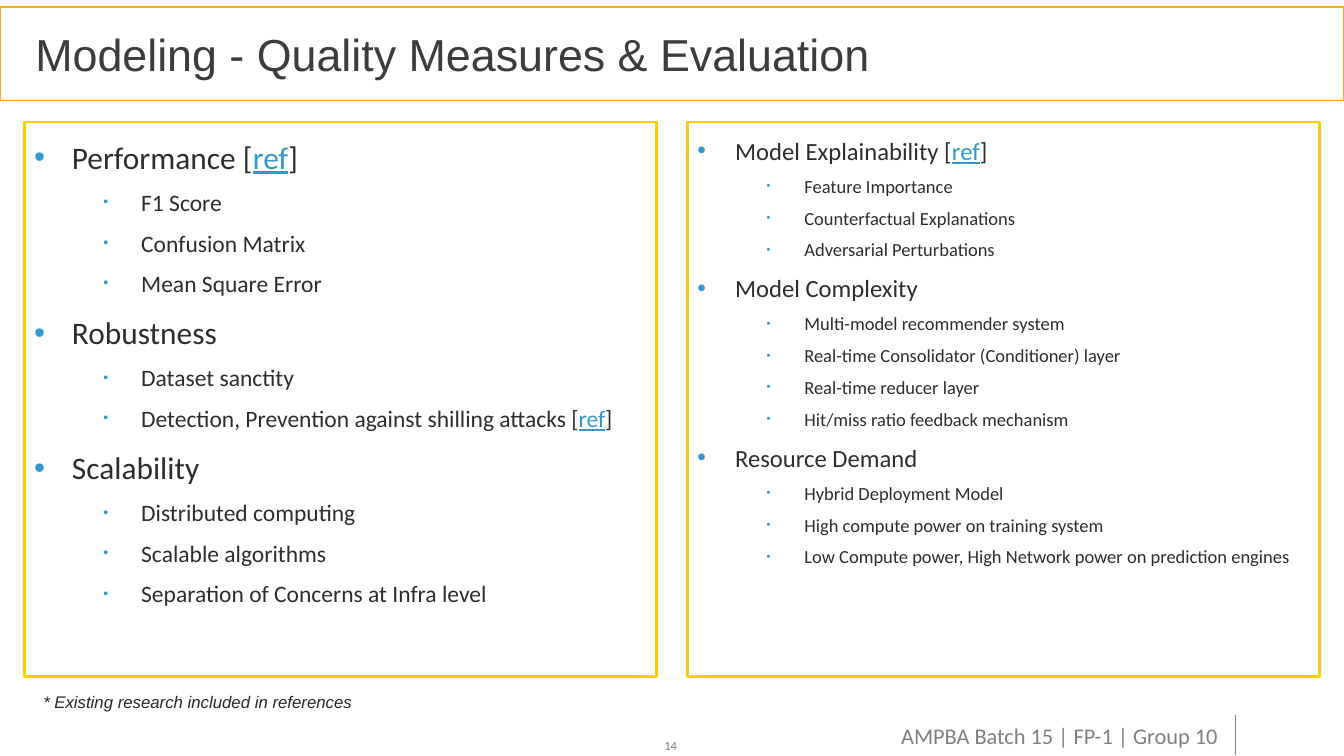
from lxml.etree import SubElement
from pptx import Presentation
from pptx.dml.color import RGBColor
from pptx.enum.shapes import MSO_CONNECTOR, MSO_SHAPE
from pptx.enum.text import MSO_ANCHOR, PP_ALIGN
from pptx.oxml.ns import qn
from pptx.util import Pt

# Content: "[ref]" in a line becomes an underlined reference
TITLE = "Modeling - Quality Measures & Evaluation"
FOOTNOTE = "* Existing research included in references"
FOOTER = "AMPBA Batch 15 | FP-1 | Group 10"
PAGE = "14"
PERFORMANCE = [
    ("Performance [ref]", ["F1 Score", "Confusion Matrix", "Mean Square Error"]),
    ("Robustness", ["Dataset sanctity",
                    "Detection, Prevention against shilling attacks [ref]"]),
    ("Scalability", ["Distributed computing", "Scalable algorithms",
                     "Separation of Concerns at Infra level"]),
]
EXPLAINABILITY = [
    ("Model Explainability [ref]", ["Feature Importance", "Counterfactual Explanations",
                                    "Adversarial Perturbations"]),
    ("Model Complexity", ["Multi-model recommender system",
                          "Real-time Consolidator (Conditioner) layer",
                          "Real-time reducer layer",
                          "Hit/miss ratio feedback mechanism"]),
    ("Resource Demand", ["Hybrid Deployment Model",
                         "High compute power on training system",
                         "Low Compute power, High Network power on prediction engines"]),
]
# Measures, heading size, point size
PANELS = [(PERFORMANCE, 22.4, 16.8), (EXPLAINABILITY, 17.6, 13.2)]

# Format
WIDTH, HEIGHT = 960, 540
PANEL_LEFT, PANEL_TOP, PANEL_WIDTH, PANEL_HEIGHT = 17.3, 87.1, 451.5, 396
PANEL_STEP = 473.7
HANGING = 27
INDENTS = [27, 76.5]
SPACE_BEFORE = 0.16
BLUE, INK, GREY = "3399CC", "2D2D2D", "808080"


def color(value):
    return RGBColor.from_string(value)


def format_font(font, ink, **values):
    font.color.rgb = color(ink)
    for key, value in values.items():
        setattr(font, key, value)


def frame(box, outline, weight):
    box.fill.solid()
    box.fill.fore_color.rgb = color("FFFFFF")
    box.line.color.rgb = color(outline)
    box.line.width = Pt(weight)


def add_bullet(paragraph, level):
    properties = paragraph._p.get_or_add_pPr()
    properties.set("marL", str(Pt(INDENTS[level])))
    properties.set("indent", str(-Pt(HANGING)))
    SubElement(SubElement(properties, qn("a:buClr")), qn("a:srgbClr"), val=BLUE)
    if level:
        SubElement(properties, qn("a:buSzPct"), val="60000")
    SubElement(properties, qn("a:buFont"), typeface="Arial")
    SubElement(properties, qn("a:buChar"), char="•")


def add_measure(paragraph, text, level, size):
    add_bullet(paragraph, level)
    paragraph.level = level
    paragraph.alignment = PP_ALIGN.LEFT
    paragraph.line_spacing = 1.3
    before, mark, after = text.partition("ref]")
    pieces = [(before, False)]
    if mark:
        pieces += [("ref", True), ("]" + after, False)]
    for piece, is_ref in pieces:
        run = paragraph.add_run()
        run.text = piece
        format_font(run.font, BLUE if is_ref else INK, name="Calibri",
                    size=Pt(size), underline=is_ref)


def add_panel(slide, left, measures, heading_size, point_size):
    panel = slide.shapes.add_shape(MSO_SHAPE.RECTANGLE, Pt(left), Pt(PANEL_TOP),
                                   Pt(PANEL_WIDTH), Pt(PANEL_HEIGHT))
    panel.shadow.inherit = False
    frame(panel, "FECC00", 2)
    body = panel.text_frame
    body.word_wrap = True
    body.vertical_anchor = MSO_ANCHOR.TOP
    lines = []
    for heading, points in measures:
        lines.append((heading, 0, heading_size))
        lines += [(point, 1, point_size) for point in points]
    for index, (text, level, size) in enumerate(lines):
        paragraph = body.add_paragraph() if index else body.paragraphs[0]
        add_measure(paragraph, text, level, size)
        if index:
            paragraph.space_before = Pt(round(size * SPACE_BEFORE, 1))


def add_label(slide, text, area, ink, inset=True, **values):
    label = slide.shapes.add_textbox(*map(Pt, area))
    body = label.text_frame
    body.word_wrap = True
    if not inset:
        for side in ("left", "right", "top", "bottom"):
            setattr(body, "margin_" + side, 0)
    body.text = text
    format_font(body.paragraphs[0].runs[0].font, ink, **values)


def main():
    deck = Presentation()
    deck.slide_width, deck.slide_height = Pt(WIDTH), Pt(HEIGHT)
    slide = deck.slides.add_slide(deck.slide_layouts[5])

    # Title band
    title = slide.shapes.title
    title.left, title.top, title.width, title.height = map(Pt, (0, 5, WIDTH, 67))
    frame(title, "FEA626", 1)
    title.text_frame.text = TITLE
    title.text_frame.vertical_anchor = MSO_ANCHOR.MIDDLE
    heading = title.text_frame.paragraphs[0]
    heading.alignment = PP_ALIGN.LEFT
    heading._p.get_or_add_pPr().set("marL", str(Pt(18)))
    format_font(heading.runs[0].font, "3C3C3C", name="Arial", size=Pt(32))

    # Panels of measures
    for column, panel in enumerate(PANELS):
        add_panel(slide, PANEL_LEFT + column * PANEL_STEP, *panel)

    # Footnote, page number and footer
    add_label(slide, FOOTNOTE, (23.8, 490.3, 553, 21.8), "282828",
              name="Arial", size=Pt(12), italic=True)
    add_label(slide, PAGE, (474.5, 527, 27.4, 11), GREY, inset=False,
              name="Calibri", size=Pt(9))
    add_label(slide, FOOTER, (643.7, 515.5, 230, 19.4), GREY, inset=False,
              name="Calibri", size=Pt(16))

    # Footer divider
    divider = slide.shapes.add_connector(MSO_CONNECTOR.STRAIGHT, Pt(882), Pt(511),
                                         Pt(882), Pt(539))
    divider.line.color.rgb = color(GREY)
    divider.line.width = Pt(0.25)
    SubElement(divider._element.spPr, qn("a:effectLst"))

    deck.save("out.pptx")


if __name__ == "__main__":
    main()
